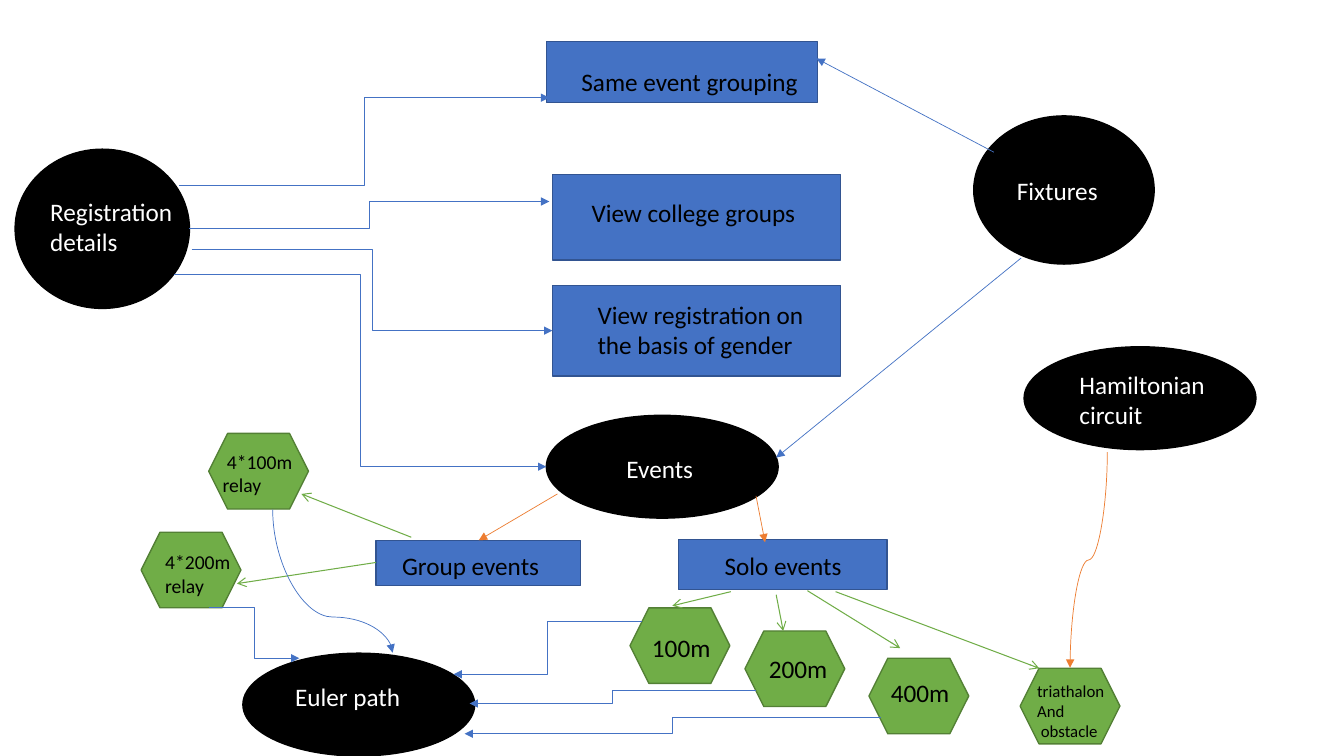
import lxml.etree
import pptx
import pptx.dml.color
import pptx.enum.shapes
import pptx.enum.text
import pptx.oxml.ns
import pptx.util

MSO = pptx.enum.shapes.MSO_SHAPE
CON = pptx.enum.shapes.MSO_CONNECTOR
qn = pptx.oxml.ns.qn
add_xml = lxml.etree.SubElement
BLACK, WHITE, BLUE, ORANGE, GREEN = "000000", "FFFFFF", "4472C4", "ED7D31", "70AD47"


def rgb(code):
    return pptx.dml.color.RGBColor.from_string(code)


def grid(*cells):
    """Columns and rows of a grid with ten cells to the inch."""
    return [pptx.util.Inches(n / 10) for n in cells]


prs = pptx.Presentation()
prs.slide_width, prs.slide_height = grid(133.33, 75)
slide = prs.slides.add_slide(prs.slide_layouts[6])
shapes = slide.shapes

# Nodes: preset, fill, outline, then left, top, width, height
HEX_W, HEX_H = 9.9, 7.5
OVAL_W, OVAL_H = 23, 10.2
hexagons = [(20.7, 43), (14, 52.8), (62.5, 60.3), (73.9, 62.6), (86.2, 65.3), (101.2, 66.3)]
ovals = [(54.2, 41.2), (101.6, 34.4), (24.1, 64.8)]
nodes = [
    (MSO.OVAL, BLACK, BLACK, [
        (1.5, 14.8, 17.3, 15.8),
        (96.6, 11.5, 17.9, 14.7),
        *[(x, y, OVAL_W, OVAL_H) for x, y in ovals],
    ]),
    (MSO.RECTANGLE, BLUE, "325491", [
        (54.2, 4.1, 26.9, 6.1),
        (54.8, 17.3, 28.6, 8.5),
        (54.8, 28.3, 28.6, 9),
        (37.3, 53.6, 20.3, 4.5),
        (67.3, 53.5, 20.7, 5),
    ]),
    (MSO.HEXAGON, GREEN, "538035", [(x, y, HEX_W, HEX_H) for x, y in hexagons]),
]
for preset, fill, outline, places in nodes:
    for place in places:
        sp = shapes.add_shape(preset, *grid(*place))
        sp.shadow.inherit = False
        sp.fill.solid()
        sp.fill.fore_color.rgb = rgb(fill)
        sp.line.color.rgb = rgb(outline)
        sp.line.width = pptx.util.Pt(1)

# Arrows: kind, colour, width, head, then ends (and rotation, bend for curves)
arrows = [
    (CON.ELBOW, BLUE, 0.5, "triangle", [
        (17.8, 18.4, 54.5, 9.7),
        (18.8, 22.7, 54.5, 20),
        (19, 24.7, 54.8, 32.8),
        (17.3, 27.2, 54.2, 46.3),
        (87.4, 71.2, 46.1, 72.8),
        (75, 68.5, 46.6, 69.8),
        (63.7, 61.6, 45, 66.9),
        (20.7, 60.3, 29.7, 65.3),
    ]),
    (CON.STRAIGHT, BLUE, 0.5, "triangle", [
        (98.6, 15.1, 81, 5.8),
        (101.3, 25.6, 77, 45.4),
    ]),
    (CON.STRAIGHT, ORANGE, 0.5, "triangle", [
        (55.3, 49, 47.5, 53.6),
        (75, 49.2, 75.9, 53.8),
    ]),
    (CON.STRAIGHT, GREEN, 0.75, "arrow", [
        (40.8, 53.3, 29.9, 49),
        (37.3, 55.8, 23.5, 57.9),
        (72.5, 58.7, 66.7, 60.1),
        (77, 59, 77.7, 62.6),
        (80.1, 58.6, 89.3, 64.3),
        (82.9, 58.7, 103.1, 66.3),
    ]),
    (CON.CURVE, ORANGE, 0.5, "triangle", [(97.3, 53.7, 118.7, 57.4, 90, 50000)]),
    (CON.CURVE, BLUE, 0.5, "triangle", [(40.1, 51.7, 25.9, 63.6, 270, 75100)]),
]
for kind, color, width, head, routes in arrows:
    for x1, y1, x2, y2, *turn in routes:
        c = shapes.add_connector(kind, *grid(x1, y1, x2, y2))
        c.line.color.rgb = rgb(color)
        c.line.width = pptx.util.Pt(width)
        spPr = c._element.spPr
        add_xml(spPr.find(qn("a:ln")), qn("a:tailEnd"), type=head)
        add_xml(spPr, qn("a:effectLst"))
        if turn:
            angle, bend = turn
            spPr.find(qn("a:xfrm")).set("rot", str(angle * 60000))
            guides = spPr.find(qn("a:prstGeom")).find(qn("a:avLst"))
            add_xml(guides, qn("a:gd"), name="adj1", fmla=f"val {bend}")

# Labels: size, colour, then text, left, top, width, height
labels = [
    (18, WHITE, [
        ("Registration details", 4, 19, 18, 7.1),
        ("Fixtures", 99.9, 16.9, 18, 4),
        (" Events", 60.6, 44.5, 20.7, 4),
        ("Hamiltonian\vcircuit", 106.1, 36.1, 14.8, 7.1),
        ("Euler path", 28.3, 67.1, 15.6, 4),
    ]),
    (18, BLACK, [
        ("Same event grouping", 56.7, 6.1, 26.3, 4),
        ("View college groups", 57.7, 19.1, 23.5, 4),
        ("View registration on the basis of gender", 58.3, 29.2, 24.6, 7.1),
        ("Group events", 38.9, 54.1, 20.7, 4),
        ("Solo events", 70.9, 54.1, 26.6, 4),
        ("100m", 63.7, 62.2, 8.4, 4),
        ("200m", 75.3, 64.3, 8.4, 4),
        ("400m", 87.4, 66.7, 8.4, 4),
    ]),
    (14, BLACK, [
        (" 4*100m\nrelay", 21.1, 44.1, 14.3, 5.7),
        ("4*200m\nrelay", 15.4, 54.1, 14.3, 5.7),
    ]),
    (12, BLACK, [("triathalon\nAnd\n obstacle", 101.9, 67, 15.9, 7.1)]),
]
for size, color, items in labels:
    font = {"name": "Calibri", "size": pptx.util.Pt(size)}
    for text, *place in items:
        tf = shapes.add_textbox(*grid(*place)).text_frame
        tf.word_wrap = True
        tf.auto_size = pptx.enum.text.MSO_AUTO_SIZE.SHAPE_TO_FIT_TEXT
        tf.text = text
        for p in tf.paragraphs:
            for r in p.runs:
                for key, value in font.items():
                    setattr(r.font, key, value)
                r.font.color.rgb = rgb(color)

prs.save("out.pptx")
